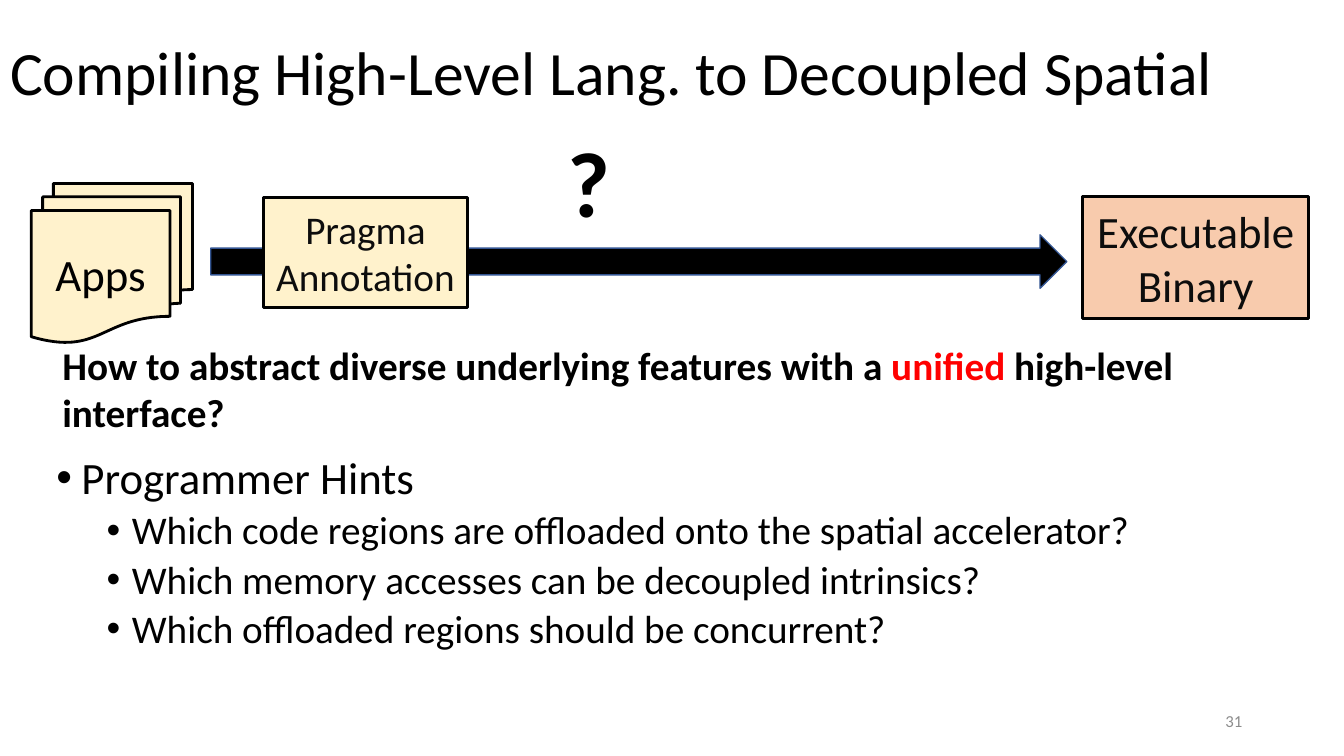
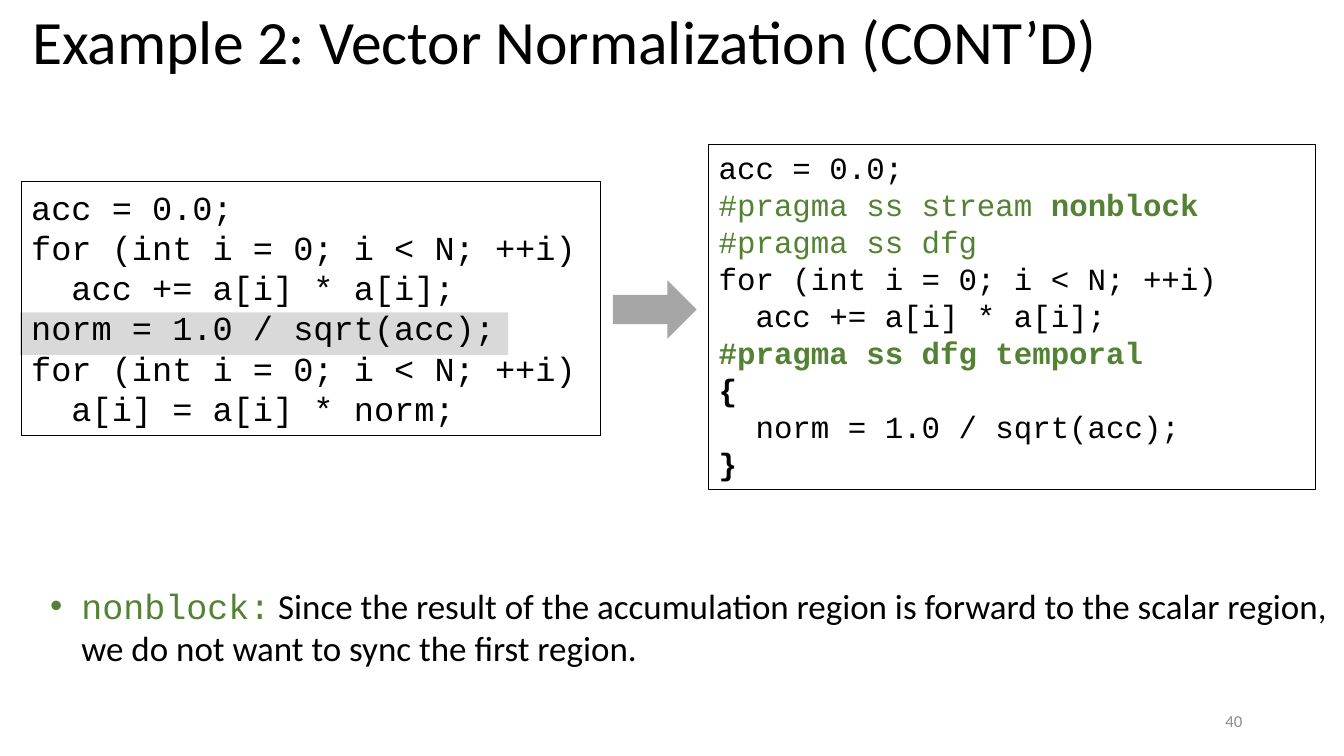
from dataclasses import dataclass
from typing import Optional, Sequence

from lxml import etree
from pptx import Presentation
from pptx.dml.color import RGBColor
from pptx.enum import shapes, text
from pptx.oxml import ns
from pptx.util import Inches, Pt

MSO = shapes.MSO_SHAPE
ALIGN = text.PP_ALIGN
ANCHOR = text.MSO_ANCHOR


# Theme: colours, fonts and type sizes
@dataclass(frozen=True)
class Theme:
    black: str = "000000"
    ink: str = "0D0D0D"
    red: str = "FF0000"
    green: str = "548235"
    cream: str = "FFF2CC"
    peach: str = "F8CBAD"
    highlight: str = "D9D9D9"
    arrow: str = "A6A6A6"
    arrow_edge: str = "325491"
    muted: str = "8C8C8C"
    sans: str = "Calibri"
    mono: str = "Courier New"
    title: int = 44
    mark: int = 66
    large: int = 32
    medium: int = 28
    note: int = 25
    code: int = 24
    code_small: int = 22
    footer: int = 12


T = Theme()


@dataclass(frozen=True)
class Box:
    left: float
    top: float
    width: float
    height: float

    def emu(self) -> tuple:
        return tuple(Inches(v) for v in (self.left, self.top, self.width, self.height))


@dataclass(frozen=True)
class Run:
    text: str
    size: int
    color: str = T.black
    bold: bool = False
    font: str = T.sans


@dataclass(frozen=True)
class Para:
    runs: Sequence[Run]
    align: ALIGN = ALIGN.LEFT
    level: int = 0
    margin: float = 0
    hang: float = 0  # a hanging indent also means a bullet
    before: int = 0
    spacing: float = 1.0


@dataclass(frozen=True)
class Block:
    kind: MSO
    box: Box
    fill: Optional[str] = None
    line: Optional[str] = None
    weight: float = 2
    label: Optional[Run] = None


# Text helpers
def add_bullet(p, margin: float, hang: float) -> None:
    pPr = p._p.get_or_add_pPr()
    pPr.set("marL", str(Inches(margin)))
    pPr.set("indent", str(-Inches(hang)))
    etree.SubElement(pPr, ns.qn("a:buFont")).set("typeface", "Arial")
    etree.SubElement(pPr, ns.qn("a:buChar")).set("char", "•")


def write(tf, paras: Sequence[Para], anchor: ANCHOR = ANCHOR.TOP) -> None:
    tf.word_wrap = True
    tf.vertical_anchor = anchor
    for i, para in enumerate(paras):
        p = tf.add_paragraph() if i else tf.paragraphs[0]
        p.level = para.level
        if para.hang:
            add_bullet(p, para.margin, para.hang)
        p.alignment = para.align
        p.line_spacing = para.spacing
        p.space_before = Pt(para.before)
        for run in para.runs:
            r = p.add_run()
            r.text = run.text
            r.font.name = run.font
            r.font.size = Pt(run.size)
            r.font.bold = run.bold
            r.font.color.rgb = RGBColor.from_string(run.color)


# Slide parts
def add_slide(prs, title: str, title_box: Box, number: str):
    s = prs.slides.add_slide(prs.slide_layouts[5])
    sp = s.shapes.title
    sp.left, sp.top, sp.width, sp.height = title_box.emu()
    write(sp.text_frame, [Para([Run(title, T.title)], spacing=0.9)], ANCHOR.MIDDLE)
    add_text(s, Box(9.42, 6.95, 3, 0.4),
             [Para([Run(number, T.footer, T.muted)], ALIGN.RIGHT)], ANCHOR.MIDDLE)
    return s


def add_text(s, box: Box, paras: Sequence[Para], anchor: ANCHOR = ANCHOR.TOP) -> None:
    write(s.shapes.add_textbox(*box.emu()).text_frame, paras, anchor)


def add_block(s, block: Block):
    sp = s.shapes.add_shape(block.kind, *block.box.emu())
    sp.shadow.inherit = False
    if block.fill:
        sp.fill.solid()
        sp.fill.fore_color.rgb = RGBColor.from_string(block.fill)
    else:
        sp.fill.background()
    if block.line:
        sp.line.color.rgb = RGBColor.from_string(block.line)
        sp.line.width = Pt(block.weight)
    else:
        sp.line.fill.background()
    if block.label:
        write(sp.text_frame, [Para([block.label], ALIGN.CENTER)], ANCHOR.MIDDLE)
    return sp


def add_code(s, box: Box, lines: Sequence[Sequence[Run]]) -> None:
    sp = add_block(s, Block(MSO.RECTANGLE, box, line=T.black, weight=0.75))
    write(sp.text_frame, [Para(line) for line in lines])


def code(line: str, size: int = T.code_small, color: str = T.black,
         bold: bool = False) -> Run:
    return Run(line, size, color, bold, T.mono)


# Slide: from applications to the executable binary
def build_compiling(prs) -> None:
    s = add_slide(prs, "Compiling High-Level Lang. to Decoupled Spatial",
                  Box(0, 0.02, 12.19, 1.45), "31")

    # Flow, from back to front
    for block in (
        Block(MSO.RECTANGLE, Box(10.74, 1.95, 2.24, 1.21), T.peach, T.black,
              label=Run("Executable Binary", T.large, T.ink)),
        Block(MSO.FLOWCHART_MULTIDOCUMENT, Box(0.31, 1.82, 1.6, 1.58), T.cream,
              T.black, label=Run("Apps", T.large)),
        Block(MSO.RIGHT_ARROW, Box(2.09, 2.33, 8.49, 0.53), T.black,
              T.arrow_edge, 1),
        Block(MSO.RECTANGLE, Box(2.61, 1.96, 2.03, 1.09), T.cream, T.black,
              label=Run("Pragma Annotation", T.medium, T.ink)),
    ):
        add_block(s, block)
    add_text(s, Box(5.53, 1.19, 0.8, 1.21), [Para([Run("?", T.mark, bold=True)])])

    # Question and hints
    add_text(s, Box(0.52, 3.34, 11.46, 1.04), [Para([
        Run("How to abstract diverse underlying features with a ", T.medium, bold=True),
        Run("unified", T.medium, T.red, True),
        Run(" high-level interface?", T.medium, bold=True),
    ])])
    hints = (
        "Which code regions are offloaded onto the spatial accelerator?",
        "Which memory accesses can be decoupled intrinsics?",
        "Which offloaded regions should be concurrent?",
    )
    heading = Para([Run("Programmer Hints", T.large)], margin=0.25, hang=0.25,
                   spacing=0.9)
    add_text(s, Box(0.46, 4.47, 12.42, 3.03), [heading] + [
        Para([Run(hint, T.medium)], level=1, margin=0.75, hang=0.25, before=5,
             spacing=0.9)
        for hint in hints])


# Slide: code before and after the pragmas
def build_normalization(prs) -> None:
    s = add_slide(prs, "Example 2: Vector Normalization (CONT’D)",
                  Box(0.22, 0, 11.5, 0.88), "40")

    # Source code with its highlighted line
    add_block(s, Block(MSO.RECTANGLE, Box(0.2, 3.1, 4.84, 0.42), T.highlight))
    source = (
        "acc = 0.0;",
        "for (int i = 0; i < N; ++i)",
        "  acc += a[i] * a[i];",
        "norm = 1.0 / sqrt(acc);",
        "for (int i = 0; i < N; ++i)",
        "  a[i] = a[i] * norm;",
    )
    add_code(s, Box(0.21, 1.8, 5.75, 2.52), [[code(line, T.code)] for line in source])

    # Annotated code
    add_block(s, Block(MSO.RIGHT_ARROW, Box(6.08, 2.78, 0.83, 0.58), T.arrow))
    add_code(s, Box(7.03, 1.43, 6.02, 3.43), [
        [code("acc = 0.0;")],
        [code("#pragma ss stream ", color=T.green),
         code("nonblock", color=T.green, bold=True)],
        [code("#pragma ss dfg", color=T.green)],
        [code("for (int i = 0; i < N; ++i)")],
        [code("  acc += a[i] * a[i];")],
        [code("#pragma ss dfg temporal", color=T.green, bold=True)],
        [code("{", bold=True)],
        [code("  norm = 1.0 / sqrt(acc);")],
        [code("}", bold=True)],
    ])

    # Explanation
    add_text(s, Box(0.4, 5.75, 12.93, 0.94), [Para([
        code("nonblock:", T.note, T.green),
        Run(" Since the result of the accumulation region is forward to the scalar "
            "region, we do not want to sync the first region.", T.note),
    ], margin=0.31, hang=0.31)])


def main() -> None:
    prs = Presentation()
    prs.slide_width, prs.slide_height = Inches(13.33), Inches(7.5)
    build_compiling(prs)
    build_normalization(prs)
    prs.save("out.pptx")


if __name__ == "__main__":
    main()
